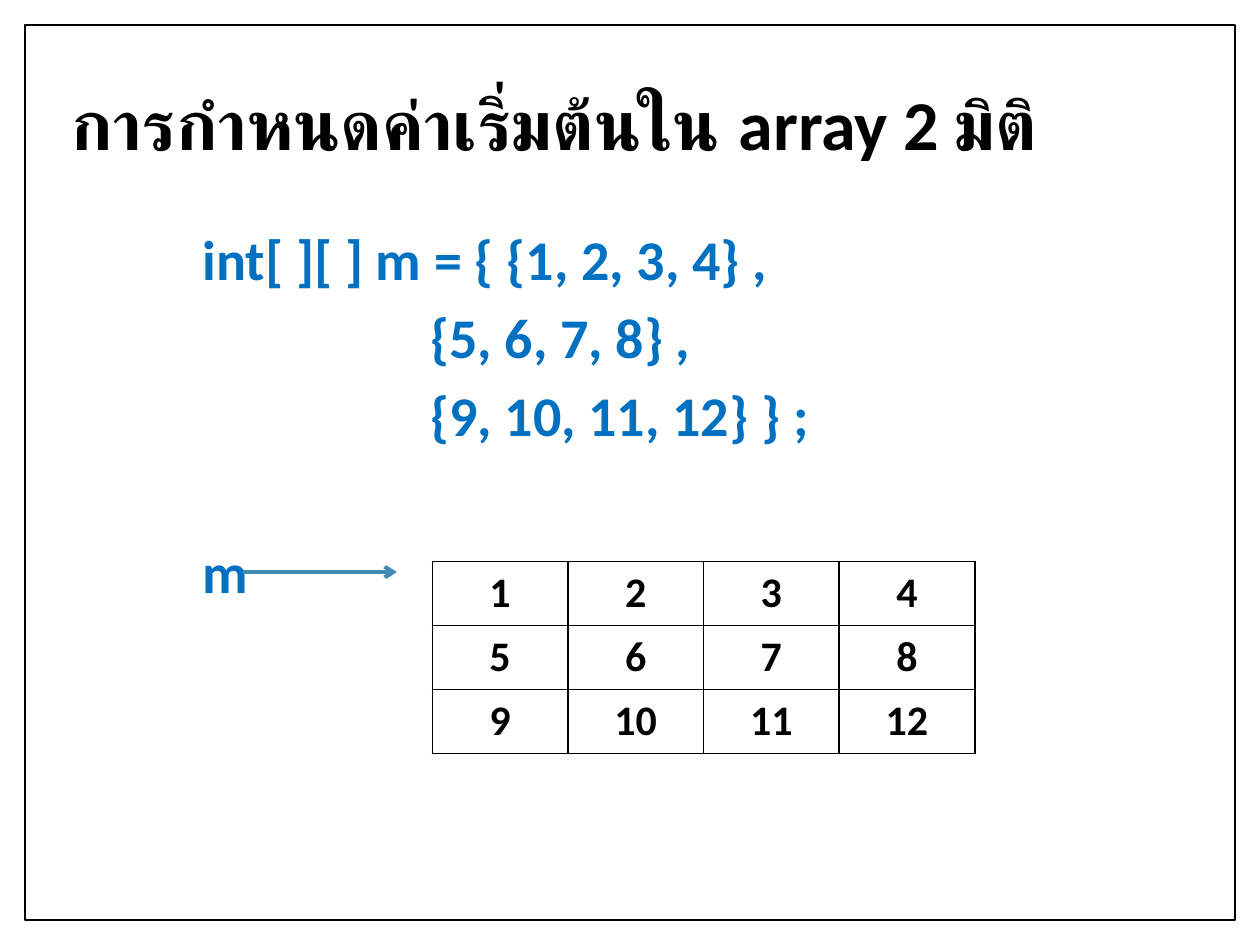
from pptx import Presentation
from pptx.dml.color import RGBColor
from pptx.enum.shapes import MSO_CONNECTOR, MSO_SHAPE
from pptx.enum.text import MSO_ANCHOR, PP_ALIGN
from pptx.oxml.ns import qn
from pptx.util import Pt
from lxml.etree import SubElement

COLORS = {"black": "000000", "white": "FFFFFF", "code": "0070C0", "arrow": "418AB3"}
FONT = "Calibri"

TITLE = "การกำหนดค่าเริ่มต้นใน array 2 มิติ"
CODE_LINES = [
    ("int[ ][ ] m = { {1, 2, 3, 4} ,", 54, 0),
    ("{5, 6, 7, 8} ,", 184, 10),
    ("{9, 10, 11, 12} } ;", 184, 10),
    ("m", 54, 55),
]
MATRIX = [[1, 2, 3, 4], [5, 6, 7, 8], [9, 10, 11, 12]]
COLUMN_WIDTH, ROW_HEIGHT = 77.5, 36.5


def color(name):
    return RGBColor.from_string(COLORS[name])


def write(paragraph, text, size, fill="black", align=PP_ALIGN.LEFT, indent=0, before=0, spacing=1.0):
    paragraph.alignment = align
    paragraph.line_spacing = spacing
    paragraph.space_before = Pt(before)
    if indent:
        properties = paragraph._p.get_or_add_pPr()
        properties.set("marL", str(Pt(indent)))
        properties.set("indent", "0")
    run = paragraph.add_run()
    run.text = text
    run.font.name = FONT
    run.font.size = Pt(size)
    run.font.bold = True
    run.font.color.rgb = color(fill)


def add_text_frame(slide, left, top, width, height, anchor):
    box = slide.shapes.add_textbox(Pt(left), Pt(top), Pt(width), Pt(height))
    box.text_frame.word_wrap = True
    box.text_frame.vertical_anchor = anchor
    return box.text_frame


def add_borders(cell):
    properties = cell._tc.get_or_add_tcPr()
    for position, side in enumerate(("lnL", "lnR", "lnT", "lnB")):
        border = SubElement(properties, qn(f"a:{side}"), w=str(Pt(1)))
        fill = SubElement(border, qn("a:solidFill"))
        SubElement(fill, qn("a:srgbClr"), val=COLORS["black"])
        properties.insert(position, border)


def add_matrix(slide, left, top):
    rows, columns = len(MATRIX), len(MATRIX[0])
    table = slide.shapes.add_table(
        rows, columns, Pt(left), Pt(top), Pt(columns * COLUMN_WIDTH), Pt(rows * ROW_HEIGHT)
    ).table
    table.first_row = False
    table.horz_banding = False
    for row_index, values in enumerate(MATRIX):
        for column_index, value in enumerate(values):
            cell = table.cell(row_index, column_index)
            cell.fill.background()
            add_borders(cell)
            write(cell.text_frame.paragraphs[0], str(value), 24, align=PP_ALIGN.CENTER)


def add_arrow(slide, start_x, end_x, y):
    arrow = slide.shapes.add_connector(MSO_CONNECTOR.STRAIGHT, Pt(start_x), Pt(y), Pt(end_x), Pt(y))
    arrow.line.color.rgb = color("arrow")
    arrow.line.width = Pt(2.25)
    SubElement(arrow.line._get_or_add_ln(), qn("a:tailEnd"), type="arrow")
    SubElement(arrow._element.spPr, qn("a:effectLst"))


def main():
    presentation = Presentation()
    presentation.slide_width, presentation.slide_height = Pt(720), Pt(540)
    slide = presentation.slides.add_slide(presentation.slide_layouts[6])

    frame = slide.shapes.add_shape(MSO_SHAPE.RECTANGLE, Pt(14.4), Pt(14.4), Pt(691.2), Pt(511.2))
    frame.shadow.inherit = False
    frame.fill.solid()
    frame.fill.fore_color.rgb = color("white")
    frame.line.color.rgb = color("black")
    frame.line.width = Pt(1)

    title = add_text_frame(slide, 34, 19.5, 583, 106.5, MSO_ANCHOR.MIDDLE)
    write(title.paragraphs[0], TITLE, 40, spacing=0.9)

    code = add_text_frame(slide, 54.7, 129, 554.5, 356.5, MSO_ANCHOR.TOP)
    for index, (text, indent, before) in enumerate(CODE_LINES):
        paragraph = code.add_paragraph() if index else code.paragraphs[0]
        write(paragraph, text, 32, fill="code", indent=indent, before=before, spacing=0.9)

    add_matrix(slide, 247, 321)
    add_arrow(slide, 139, 226.8, 326.9)
    presentation.save("out.pptx")


if __name__ == "__main__":
    main()
